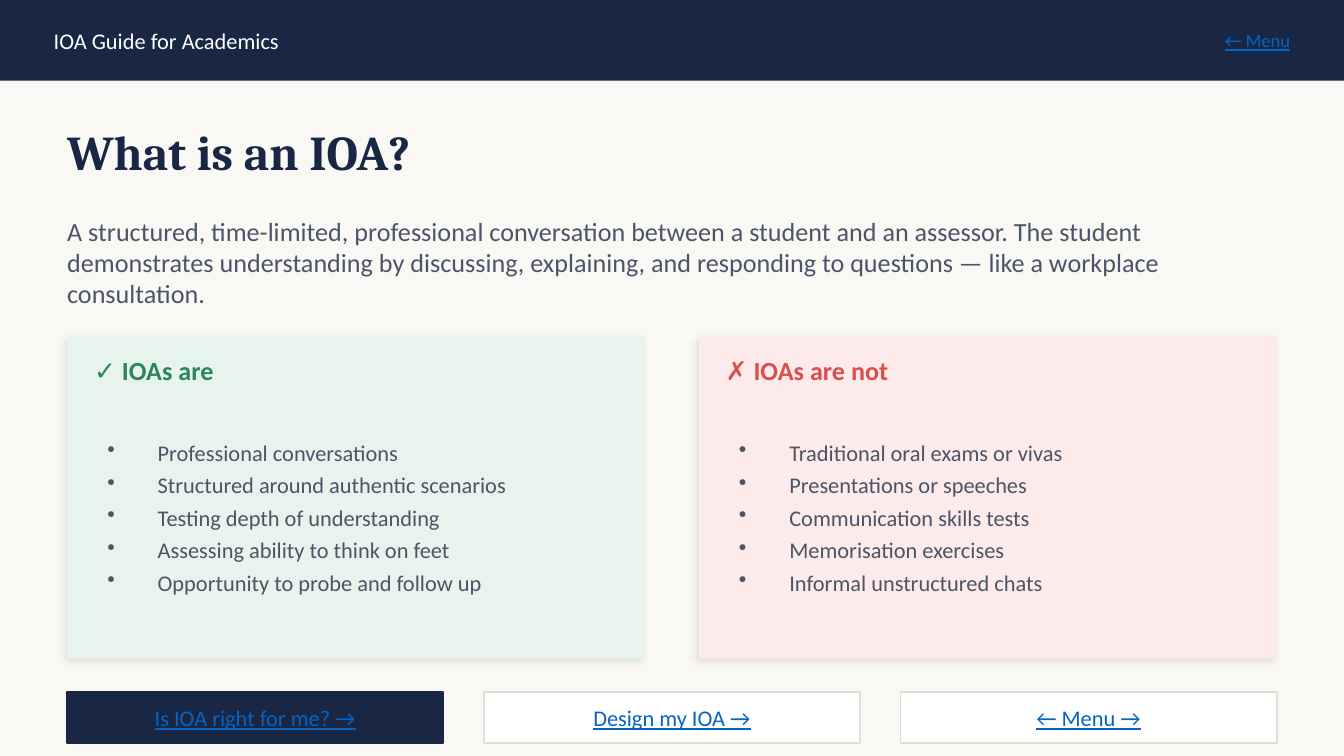
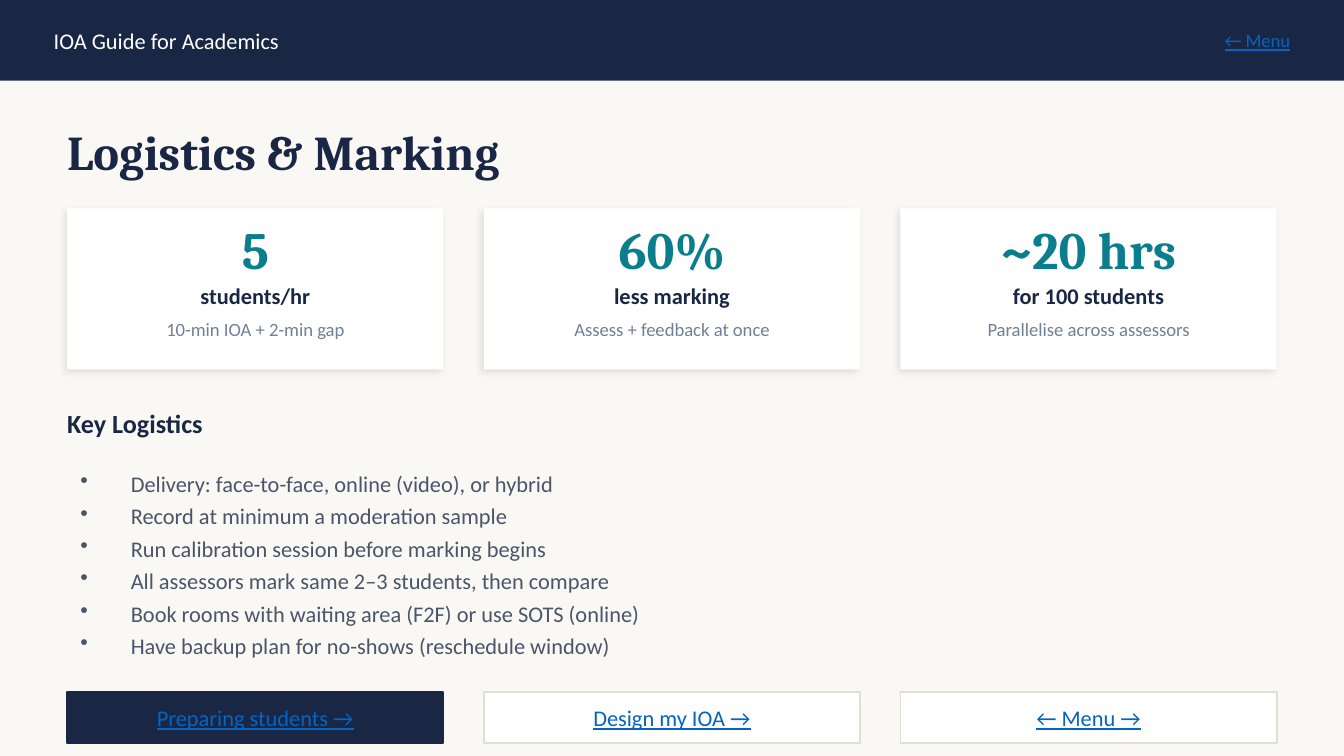
"""Build two slides of a guide to interactive oral assessment."""
from lxml.etree import SubElement
from pptx import Presentation
from pptx.dml.color import RGBColor
from pptx.enum.shapes import MSO_SHAPE
from pptx.enum.text import MSO_ANCHOR, PP_ALIGN
from pptx.oxml.ns import qn
from pptx.util import Pt

NAVY = RGBColor(0x1A, 0x27, 0x44)
CREAM = RGBColor(0xFA, 0xF8, 0xF4)
WHITE = RGBColor(0xFF, 0xFF, 0xFF)
SAND = RGBColor(0xE2, 0xDD, 0xD5)
SLATE = RGBColor(0x4A, 0x55, 0x68)
GREY = RGBColor(0x71, 0x80, 0x96)
TEAL = RGBColor(0x0A, 0x7E, 0x8C)
LINK = RGBColor(0x05, 0x63, 0xC1)
GREEN = RGBColor(0x2D, 0x86, 0x59)
MINT = RGBColor(0xE6, 0xF4, 0xED)
RED = RGBColor(0xD9, 0x4F, 0x4F)
ROSE = RGBColor(0xFD, 0xEA, 0xEA)

BODY_FONT = "Calibri"
HEAD_FONT = "Cambria"
WIDTH, HEIGHT = 720, 405
BAND = 43.2
MARGIN = 36
CONTENT = WIDTH - 2 * MARGIN
THIRD, THIRD_STEP = 201.6, 223.2
PANEL, PANEL_STEP = 309.6, 338.4
INDENT = 27


def write(para, text, *, size=12, color=SLATE, font=BODY_FONT, bold=False,
          underline=False, align=PP_ALIGN.LEFT):
    """Add formatted text to a paragraph."""
    para.alignment = align
    span = para.add_run()
    span.text = text
    span.font.size = Pt(size)
    span.font.name = font
    span.font.bold = bold
    span.font.underline = underline
    span.font.color.rgb = color


class GuideDeck:
    """Hold the shared style and the current slide."""

    def __init__(self):
        """Start an empty deck."""
        self.deck = Presentation()
        self.deck.slide_width = Pt(WIDTH)
        self.deck.slide_height = Pt(HEIGHT)
        self.page = None

    def start_page(self, title):
        """Add a page with its header band and title."""
        self.page = self.deck.slides.add_slide(self.deck.slide_layouts[6])
        self.page.background.fill.solid()
        self.page.background.fill.fore_color.rgb = CREAM
        self.panel(0, 0, WIDTH, BAND, NAVY)
        self.label("IOA Guide for Academics", 28.8, 0, 360, BAND, color=WHITE)
        self.label("← Menu", 540, 0, 151.2, BAND, size=10, color=LINK,
                   underline=True, align=PP_ALIGN.RIGHT)
        self.label(title, MARGIN, 61.2, CONTENT, 39.6, size=26, color=NAVY,
                   font=HEAD_FONT, bold=True)

    def panel(self, left, top, width, height, fill, line=None, shadow=False):
        """Add a filled rectangle."""
        shape = self.page.shapes.add_shape(
            MSO_SHAPE.RECTANGLE, Pt(left), Pt(top), Pt(width), Pt(height))
        shape.shadow.inherit = False
        shape.fill.solid()
        shape.fill.fore_color.rgb = fill
        if line is None:
            shape.line.fill.background()
        else:
            shape.line.color.rgb = line
            shape.line.width = Pt(1)
        if shadow:
            effects = shape._element.spPr.find(qn("a:effectLst"))
            outer = SubElement(effects, qn("a:outerShdw"), blurRad=str(Pt(4)),
                               dist=str(Pt(2)), dir=str(135 * 60000),
                               algn="bl", rotWithShape="0")
            color = SubElement(outer, qn("a:srgbClr"), val="000000")
            SubElement(color, qn("a:alpha"), val="10000")

    def text_frame(self, left, top, width, height):
        """Add a wrapping, vertically centred text box."""
        box = self.page.shapes.add_textbox(
            Pt(left), Pt(top), Pt(width), Pt(height))
        frame = box.text_frame
        frame.word_wrap = True
        frame.vertical_anchor = MSO_ANCHOR.MIDDLE
        return frame

    def label(self, text, left, top, width, height, **style):
        """Add one paragraph of text without insets."""
        frame = self.text_frame(left, top, width, height)
        frame.margin_left = frame.margin_right = Pt(0)
        frame.margin_top = frame.margin_bottom = Pt(0)
        write(frame.paragraphs[0], text, **style)

    def bullets(self, items, left, top, width, height):
        """Add a bulleted list."""
        frame = self.text_frame(left, top, width, height)
        for index, item in enumerate(items):
            para = frame.add_paragraph() if index else frame.paragraphs[0]
            para.space_after = Pt(3)
            write(para, item)
            properties = para._p.get_or_add_pPr()
            properties.set("marL", str(Pt(INDENT)))
            properties.set("indent", str(-Pt(INDENT)))
            SubElement(properties, qn("a:buChar"), char="•")

    def comparison(self, column, heading, items, fill, color):
        """Add a tinted panel with a heading and a list."""
        left = MARGIN + column * PANEL_STEP
        self.panel(left, 180, PANEL, 172.8, fill, shadow=True)
        inner = left + 14.4
        self.label(heading, inner, 187.2, 288, 21.6, size=14, color=color,
                   bold=True)
        self.bullets(items, inner, 212.4, 280.8, 129.6)

    def statistic(self, column, figure, unit, detail):
        """Add a card with a figure, its unit and a detail."""
        left = MARGIN + column * THIRD_STEP
        self.panel(left, 111.6, THIRD, 86.4, WHITE, shadow=True)
        centre = PP_ALIGN.CENTER
        self.label(figure, left, 115.2, THIRD, 36, size=28, color=TEAL,
                   font=HEAD_FONT, bold=True, align=centre)
        self.label(unit, left, 147.6, THIRD, 21.6, color=NAVY, bold=True,
                   align=centre)
        self.label(detail, left, 165.6, THIRD, 21.6, size=10, color=GREY,
                   align=centre)

    def navigation(self, first):
        """Add the row of three buttons, the first one dark."""
        for column, text in enumerate((first, "Design my IOA →", "← Menu →")):
            area = (MARGIN + column * THIRD_STEP, 370.8, THIRD, 27.36)
            fill, line = (WHITE, SAND) if column else (NAVY, NAVY)
            self.panel(*area, fill, line=line)
            self.label(text, *area, color=LINK, underline=True,
                       align=PP_ALIGN.CENTER)


def build_definition(guide):
    """Build the page that says what an IOA is."""
    guide.start_page("What is an IOA?")
    guide.label(
        "A structured, time-limited, professional conversation between a "
        "student and an assessor. The student demonstrates understanding by "
        "discussing, explaining, and responding to questions — like a "
        "workplace consultation.", MARGIN, 115.2, CONTENT, 50.4, size=14)
    guide.comparison(0, "✓ IOAs are", (
        "Professional conversations",
        "Structured around authentic scenarios",
        "Testing depth of understanding",
        "Assessing ability to think on feet",
        "Opportunity to probe and follow up",
    ), MINT, GREEN)
    guide.comparison(1, "✗ IOAs are not", (
        "Traditional oral exams or vivas",
        "Presentations or speeches",
        "Communication skills tests",
        "Memorisation exercises",
        "Informal unstructured chats",
    ), ROSE, RED)
    guide.navigation("Is IOA right for me? →")


def build_logistics(guide):
    """Build the page on logistics and marking."""
    guide.start_page("Logistics & Marking")
    statistics = (
        ("5", "students/hr", "10-min IOA + 2-min gap"),
        ("60%", "less marking", "Assess + feedback at once"),
        ("~20 hrs", "for 100 students", "Parallelise across assessors"),
    )
    for column, texts in enumerate(statistics):
        guide.statistic(column, *texts)
    guide.label("Key Logistics", MARGIN, 216, 288, 21.6, size=14, color=NAVY,
                bold=True)
    guide.bullets((
        "Delivery: face-to-face, online (video), or hybrid",
        "Record at minimum a moderation sample",
        "Run calibration session before marking begins",
        "All assessors mark same 2–3 students, then compare",
        "Book rooms with waiting area (F2F) or use SOTS (online)",
        "Have backup plan for no-shows (reschedule window)",
    ), MARGIN, 241.2, CONTENT, 122.4)
    guide.navigation("Preparing students →")


def main():
    """Build and save the deck."""
    guide = GuideDeck()
    build_definition(guide)
    build_logistics(guide)
    guide.deck.save("out.pptx")


if __name__ == "__main__":
    main()
